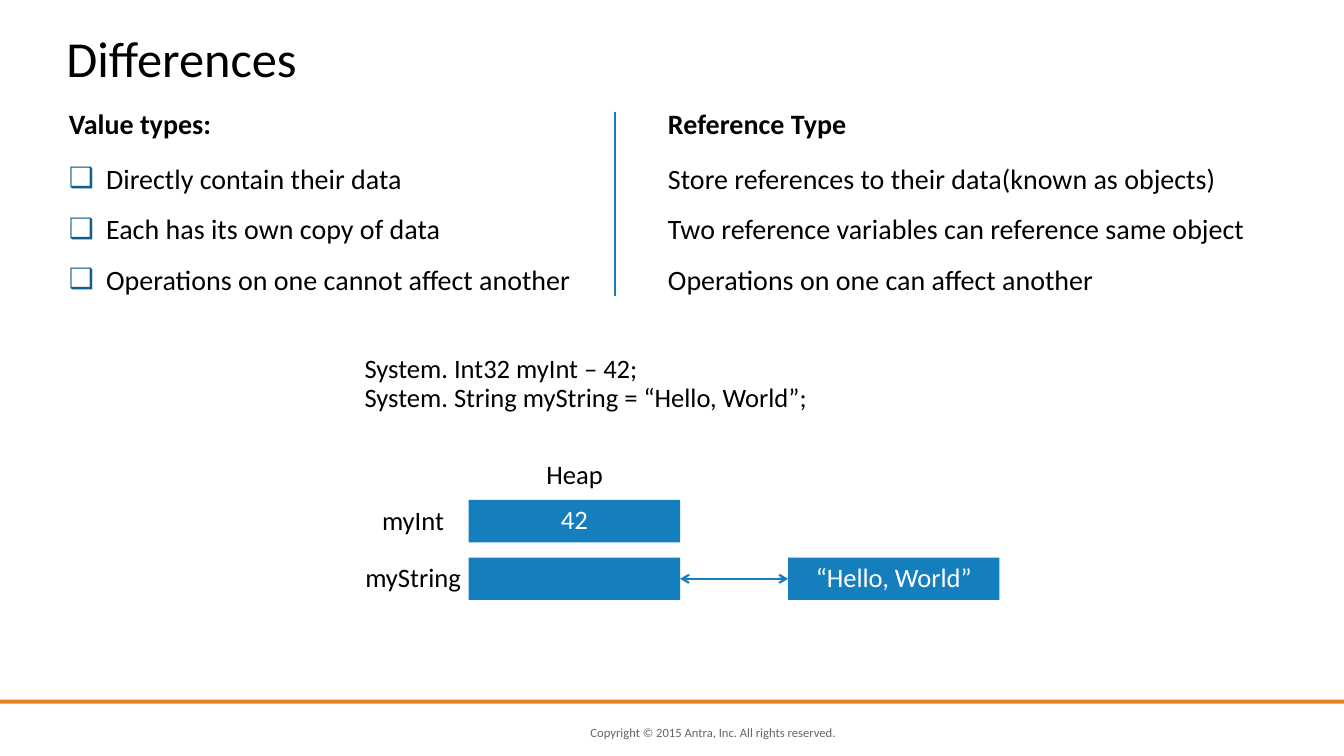
from lxml import etree
from pptx import Presentation
from pptx import util as u
from pptx.dml.color import RGBColor
from pptx.enum import shapes, text
from pptx.oxml import ns

COLORS = {
    "ink": "000000",
    "blue": "157EBD",
    "bullet": "105E8E",
    "orange": "E68422",
    "grey": "666666",
    "white": "FFFFFF",
}


def color(name):
    return RGBColor.from_string(COLORS[name])


def add_tag(parent, tag, **attributes):
    return etree.SubElement(parent, ns.qn(tag), attributes)


def write(shape, lines, size=19, ink="ink", bold=False, align="LEFT", anchor="TOP",
          spacing=0.9, before=0, inset=None, bullet=None, hanging=None):
    """Fill a shape with one paragraph per line."""
    frame = shape.text_frame
    frame.word_wrap = True
    frame.auto_size = text.MSO_AUTO_SIZE.NONE
    frame.vertical_anchor = getattr(text.MSO_ANCHOR, anchor)
    if inset is not None:
        frame.margin_left = frame.margin_right = u.Cm(inset)
        frame.margin_top = frame.margin_bottom = u.Cm(inset)
    for number, line in enumerate(lines):
        para = frame.paragraphs[0] if number == 0 else frame.add_paragraph()
        if hanging is not None:
            properties = para._p.get_or_add_pPr()
            properties.set("marL", str(u.Cm(hanging)))
            properties.set("indent", str(-u.Cm(hanging)))
            if bullet:
                add_tag(add_tag(properties, "a:buClr"), "a:srgbClr", val=COLORS["bullet"])
                add_tag(properties, "a:buChar", char=bullet)
            else:
                add_tag(properties, "a:buNone")
        para.alignment = getattr(text.PP_ALIGN, align)
        para.line_spacing = spacing
        para.space_before = u.Pt(before if number else 0)
        span = para.add_run()
        span.text = line
        span.font.name = "Calibri"
        span.font.size = u.Pt(size)
        span.font.bold = bold
        span.font.color.rgb = color(ink)


class SlideBuilder:
    def __init__(self, page):
        self.page = page

    def placeholder(self, index, place, lines, **style):
        box = self.page.placeholders[index]
        box.left, box.top, box.width, box.height = map(u.Cm, place)
        write(box, lines, **style)

    def label(self, place, lines, **style):
        box = self.page.shapes.add_textbox(*map(u.Cm, place))
        write(box, lines, inset=0, **style)

    def block(self, place, fill="blue", caption=None):
        box = self.page.shapes.add_shape(shapes.MSO_SHAPE.RECTANGLE, *map(u.Cm, place))
        box.shadow.inherit = False
        box.fill.solid()
        box.fill.fore_color.rgb = color(fill)
        box.line.fill.background()
        if caption:
            write(box, [caption], ink="white", align="CENTER", anchor="MIDDLE")

    def line(self, start, end, arrows=False):
        line = self.page.shapes.add_connector(
            shapes.MSO_CONNECTOR.STRAIGHT, *map(u.Cm, start + end))
        line.line.color.rgb = color("blue")
        line.line.width = u.Pt(1.5)
        add_tag(line._element.spPr, "a:effectLst")
        if arrows:
            for tag in ("a:headEnd", "a:tailEnd"):
                add_tag(line.line._get_or_add_ln(), tag, type="arrow")


def main():
    deck = Presentation()
    deck.slide_width, deck.slide_height = u.Cm(33.87), u.Cm(19.05)
    comparison = deck.slide_layouts[4]
    slide = SlideBuilder(deck.slides.add_slide(comparison))

    # Footer
    slide.label((14.88, 18.21, 7.75, 0.51),
                ["Copyright © 2015 Antra, Inc. All rights reserved."],
                size=9, ink="grey", anchor="MIDDLE", spacing=1)
    slide.block((0, 17.63, 33.87, 0.1), fill="orange")

    # Title and the two compared columns
    slide.placeholder(0, (1.42, 0.74, 31.72, 1.65), ["Differences"], size=36)
    columns = [
        (1, 1.48, 13.18, "Value types:", "❑", 0.94,
         ["Directly contain their data",
          "Each has its own copy of data",
          "Operations on one cannot affect another"]),
        (3, 16.58, 15.24, "Reference Type", None, 0.64,
         ["Store references to their data(known as objects)",
          "Two reference variables can reference same object",
          "Operations on one can affect another"]),
    ]
    for index, left, width, heading, bullet, hanging, points in columns:
        slide.placeholder(index, (left, 2.64, 8.48, 1.02), [heading], size=20, bold=True)
        slide.placeholder(index + 1, (left, 3.94, width, 3.73), points, size=20,
                          spacing=1, before=12, bullet=bullet, hanging=hanging)
    slide.line((15.49, 2.82), (15.49, 7.47))

    # Code sample
    slide.label((9.19, 8.97, 17.22, 1.78),
                ["System. Int32 myInt – 42;",
                 "System. String myString = “Hello, World”;"])

    # Memory diagram
    heap, target, width, height = 11.81, 19.86, 5.33, 1.07
    first, second = 12.6, 14.05
    slide.block((heap, first, width, height), caption="42")
    slide.block((heap, second, width, height))
    slide.block((target, second, width, height), caption="“Hello, World”")
    middle = second + height / 2
    slide.line((heap + width, middle), (target, middle), arrows=True)
    for left, top, name in [(13.21, 11.63, "Heap"),
                            (9.14, first + 0.18, "myInt"),
                            (9.14, second + 0.18, "myString")]:
        slide.label((left, top, 2.54, 0.71), [name], align="CENTER")

    deck.save("out.pptx")


if __name__ == "__main__":
    main()
